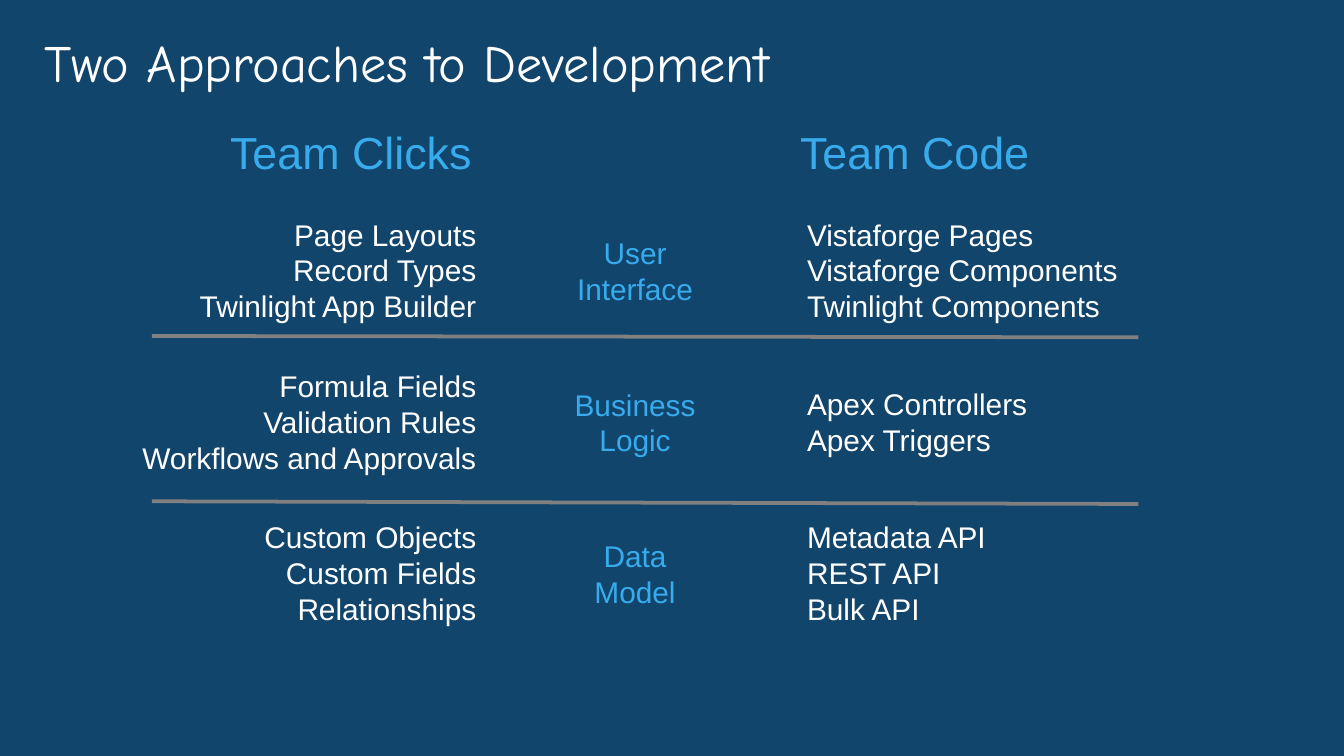
from lxml import etree
from pptx import Presentation
from pptx.dml.color import RGBColor
from pptx.enum.shapes import MSO_CONNECTOR, MSO_SHAPE
from pptx.enum.text import MSO_ANCHOR, PP_ALIGN
from pptx.oxml.ns import qn
from pptx.util import Inches, Pt

LEFT, CENTER, RIGHT = PP_ALIGN.LEFT, PP_ALIGN.CENTER, PP_ALIGN.RIGHT
TOP, MIDDLE = MSO_ANCHOR.TOP, MSO_ANCHOR.MIDDLE
ROUNDED = MSO_SHAPE.ROUNDED_RECTANGLE
STRAIGHT = MSO_CONNECTOR.STRAIGHT

NAVY = RGBColor(0x12, 0x45, 0x6C)
WHITE = RGBColor(0xFF, 0xFF, 0xFF)
SKY = RGBColor(0x38, 0xAB, 0xED)
GRAY = RGBColor(0x80, 0x80, 0x80)

TITLE = "Two Approaches to Development"
HEADINGS = [("Team Clicks", 0.91, 3.4), ("Team Code", 4.9, 3.81)]
LAYERS = [
    {"name": "User Interface",
     "clicks": ["Page Layouts", "Record Types", "Twinlight App Builder"],
     "code": ["Vistaforge Pages", "Vistaforge Components",
              "Twinlight Components"],
     "widths": (2.94, 3.16)},
    {"name": "Business Logic",
     "clicks": ["Formula Fields", "Validation Rules",
                "Workflows and Approvals"],
     "code": ["Apex Controllers", "Apex Triggers"],
     "widths": (3.62, 3.48)},
    {"name": "Data Model",
     "clicks": ["Custom Objects", "Custom Fields", "Relationships"],
     "code": ["Metadata API", "REST API", "Bulk API"],
     "widths": (3.62, 3.48)},
]
DIVIDERS = [(2.5, 2.51), (3.73, 3.75)]

SLIDE_WIDTH = 10
SLIDE_HEIGHT = SLIDE_WIDTH * 9 / 16
ROW_TOP, ROW_BOTTOM_TOP, ROW_HEIGHT = 1.53, 3.78, 0.96
ROW_STEP = (ROW_BOTTOM_TOP - ROW_TOP) / (len(LAYERS) - 1)
CLICKS_RIGHT, CODE_LEFT = 3.69, 5.86
LABEL_LEFT, LABEL_TOP, LABEL_WIDTH, LABEL_HEIGHT = 4.1, 1.7, 1.25, 0.64
DIVIDER_LEFT, DIVIDER_RIGHT = 1.13, 8.47


def write(shape, lines, size, color, align, anchor, font="Arial"):
    frame = shape.text_frame
    frame.word_wrap = True
    frame.vertical_anchor = anchor
    for index, line in enumerate(lines):
        paragraph = frame.add_paragraph() if index else frame.paragraphs[0]
        paragraph.alignment = align
        run = paragraph.add_run()
        run.text = line
        run.font.name = font
        run.font.size = Pt(size)
        run.font.color.rgb = color


def add_label(slide, text, left, top, width, height, size):
    box = slide.shapes.add_textbox(*map(Inches, (left, top, width, height)))
    write(box, [text], size, SKY, CENTER, TOP)


def add_tools(slide, lines, left, top, width, align):
    shape = slide.shapes.add_shape(
        ROUNDED, *map(Inches, (left, top, width, ROW_HEIGHT)))
    shape.shadow.inherit = False
    shape.fill.background()
    shape.line.fill.background()
    write(shape, lines, 16, WHITE, align, MIDDLE)


def add_divider(slide, start, end):
    divider = slide.shapes.add_connector(
        STRAIGHT, *map(Inches, (DIVIDER_LEFT, start, DIVIDER_RIGHT, end)))
    divider.line.color.rgb = GRAY
    divider.line.width = Pt(2)
    etree.SubElement(divider.element.spPr, qn("a:effectLst"))


def main():
    presentation = Presentation()
    presentation.slide_width = Inches(SLIDE_WIDTH)
    presentation.slide_height = Inches(SLIDE_HEIGHT)
    slide = presentation.slides.add_slide(presentation.slide_layouts[5])
    slide.background.fill.solid()
    slide.background.fill.fore_color.rgb = NAVY

    title = slide.shapes.title
    title.left, title.top = Inches(0.23), Inches(0.13)
    title.width, title.height = Inches(9), Inches(0.65)
    write(title, [TITLE], 28, WHITE, LEFT, MIDDLE, "Comic Neue")

    for text, left, width in HEADINGS:
        add_label(slide, text, left, 0.88, width, 0.5, 24)

    for row, layer in enumerate(LAYERS):
        offset = row * ROW_STEP
        top = ROW_TOP + offset
        clicks_width, code_width = layer["widths"]
        add_tools(slide, layer["clicks"], CLICKS_RIGHT - clicks_width, top,
                  clicks_width, RIGHT)
        add_tools(slide, layer["code"], CODE_LEFT, top, code_width, LEFT)
        add_label(slide, layer["name"], LABEL_LEFT, LABEL_TOP + offset,
                  LABEL_WIDTH, LABEL_HEIGHT, 16)

    for start, end in DIVIDERS:
        add_divider(slide, start, end)

    presentation.save("out.pptx")


if __name__ == "__main__":
    main()
